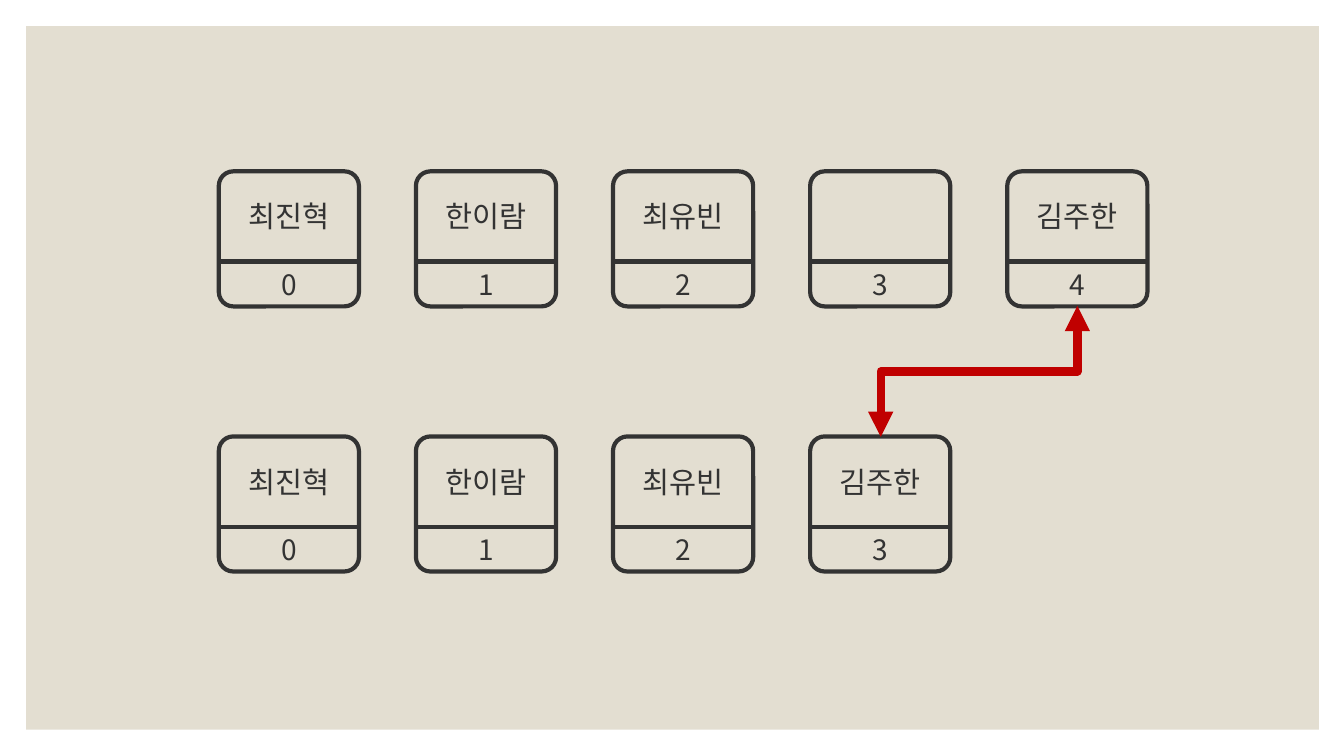
from lxml.etree import SubElement
from pptx import Presentation
from pptx.dml.color import RGBColor
from pptx.enum.shapes import MSO_CONNECTOR as Connector, MSO_SHAPE as Shape
from pptx.enum.text import MSO_ANCHOR as Anchor, MSO_AUTO_SIZE as AutoSize, PP_ALIGN as Align
from pptx.oxml.ns import qn
from pptx.util import Inches, Pt

COLORS = {name: RGBColor.from_string(value) for name, value in {
    "panel": "E3DED1", "ink": "333333", "arrow": "C00000"}.items()}
FONT = "Noto Sans CJK KR"
LEFT, PITCH = 2.17, 1.955
CELL_WIDTH, CELL_HEIGHT, DIVIDER = 1.39, 1.34, 0.895
ROWS = [
    (1.7, ["최진혁", "한이람", "최유빈", "", "김주한"]),
    (4.33, ["최진혁", "한이람", "최유빈", "김주한"]),
]


def add_label(shapes, text, left, top, height, size, anchor):
    box = shapes.add_textbox(Inches(left), Inches(top), Inches(CELL_WIDTH), Inches(height))
    frame = box.text_frame
    frame.word_wrap = True
    frame.auto_size = AutoSize.SHAPE_TO_FIT_TEXT
    frame.vertical_anchor = anchor
    para = frame.paragraphs[0]
    para.text = text
    para.alignment = Align.CENTER
    para.font.size = Pt(size)
    para.font.color.rgb = COLORS["ink"]
    para.font.name = FONT
    # Hangul takes its typeface from the East Asian font
    SubElement(para.font._element if hasattr(para.font, "_element") else para.font._rPr,
               qn("a:ea"), typeface=FONT)


def add_line(shapes, kind, start, end, color, width):
    line = shapes.add_connector(kind, *map(Inches, start + end))
    line.line.color.rgb = COLORS[color]
    line.line.width = Pt(width)
    SubElement(line._element.spPr, qn("a:effectLst"))
    return line


deck = Presentation()
deck.slide_width, deck.slide_height = Inches(13.33), Inches(7.5)
page = deck.slides.add_slide(deck.slide_layouts[6])

panel = page.shapes.add_shape(
    Shape.RECTANGLE, Inches(0.26), Inches(0.26), Inches(12.82), Inches(6.98))
panel.shadow.inherit = False
panel.fill.solid()
panel.fill.fore_color.rgb = COLORS["panel"]
panel.line.fill.background()

# Two arrays: each cell holds a name above its index
for top, names in ROWS:
    shapes = page.shapes.add_group_shape().shapes
    for index, name in enumerate(names):
        left = LEFT + index * PITCH
        cell = shapes.add_shape(Shape.ROUNDED_RECTANGLE, Inches(left), Inches(top),
                                Inches(CELL_WIDTH), Inches(CELL_HEIGHT))
        cell.adjustments[0] = 0.107
        cell.shadow.inherit = False
        cell.fill.background()
        cell.line.color.rgb = COLORS["ink"]
        cell.line.width = Pt(3)
        middle = top + DIVIDER
        add_line(shapes, Connector.STRAIGHT, (left, middle), (left + CELL_WIDTH, middle), "ink", 3)
        add_label(shapes, str(index), left, top + 0.9, 0.44, 20, Anchor.TOP)
        if name:
            add_label(shapes, name, left, top + 0.22, 0.45, 21, Anchor.MIDDLE)

# A quarter turn makes the elbow leave and enter its cells vertically
swap = add_line(page.shapes, Connector.ELBOW, (9.06, 2.71), (10.36, 4.66), "arrow", 6)
swap._element.spPr.find(qn("a:xfrm")).set("rot", "5400000")
outline = swap.line._get_or_add_ln()
SubElement(outline, qn("a:round"))
for end in ("a:headEnd", "a:tailEnd"):
    SubElement(outline, qn(end), type="triangle")

deck.save("out.pptx")
